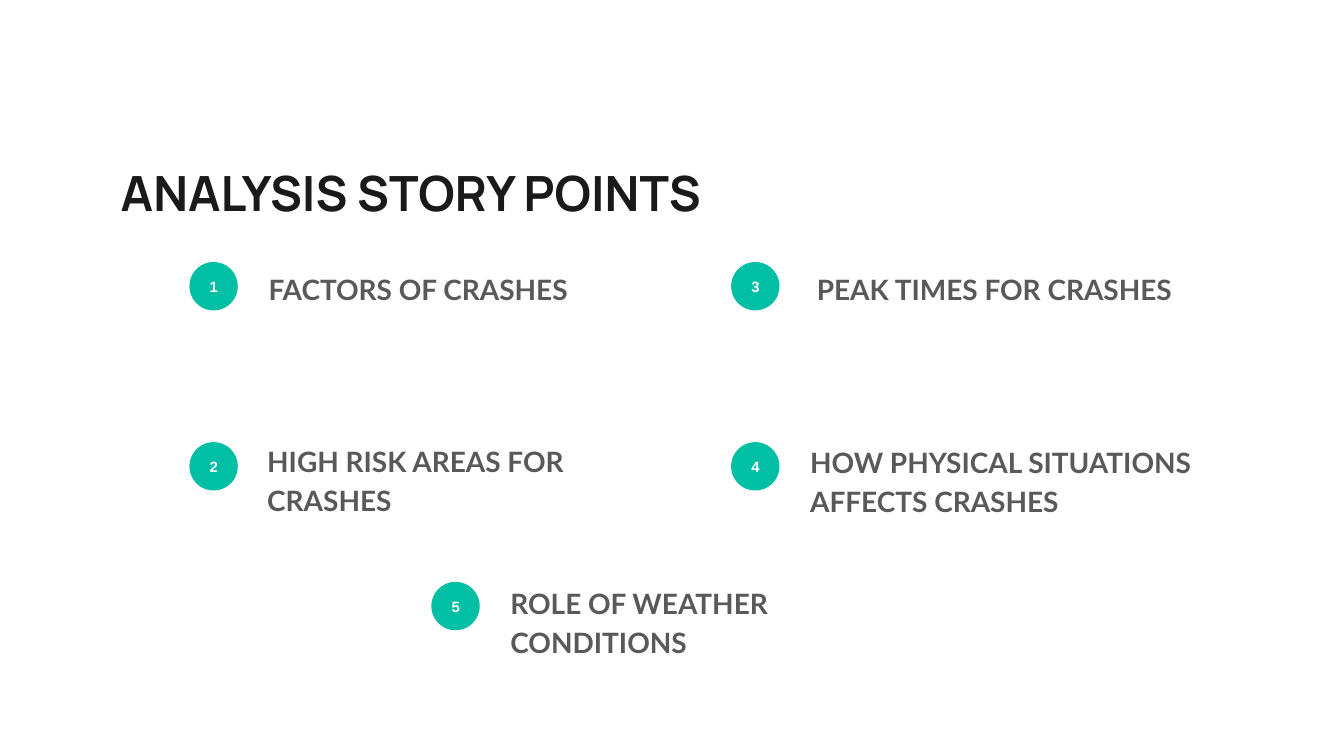
from pptx import Presentation
from pptx.dml.color import RGBColor
from pptx.enum.shapes import MSO_SHAPE as Shape
from pptx.enum.text import MSO_ANCHOR as Anchor, PP_ALIGN as Align
from pptx.util import Inches, Pt

WHITE = RGBColor(0xFF, 0xFF, 0xFF)
TEAL = RGBColor(0x00, 0xBF, 0xA5)
BLACK = RGBColor(0x1A, 0x1A, 0x1A)
GRAY = RGBColor(0x59, 0x59, 0x59)

LEFT, RIGHT, MIDDLE = 1.41, 5.44, 3.21
TOP, CENTER, BOTTOM = 1.95, 3.29, 4.33
BADGE = 0.36


def write(shape, text, font, size, color):
    frame = shape.text_frame
    frame.word_wrap = True
    frame.margin_left = frame.margin_right = Inches(0.1)
    frame.margin_top = frame.margin_bottom = Inches(0.1)
    frame.text = text
    para = frame.paragraphs[0]
    span = para.runs[0]
    span.font.name = font
    span.font.size = Pt(size)
    span.font.bold = True
    span.font.color.rgb = color
    return para


deck = Presentation()
deck.slide_width = Inches(10)
deck.slide_height = Inches(10) * 9 // 16
page = deck.slides.add_slide(deck.slide_layouts[6])
page.background.fill.solid()
page.background.fill.fore_color.rgb = WHITE

title = page.shapes.add_textbox(Inches(0.8), Inches(1.11), Inches(8.41), Inches(0.59))
write(title, "ANALYSIS STORY POINTS", "Manrope", 26, BLACK)

points = [
    ("FACTORS OF CRASHES", LEFT, TOP, 1.9, 1.89, 0.42),
    ("HIGH RISK AREAS FOR CRASHES", LEFT, CENTER, 1.89, 3.17, 0.42),
    ("PEAK TIMES FOR CRASHES", RIGHT, TOP, 5.98, 1.89, 0.42),
    ("HOW PHYSICAL SITUATIONS AFFECTS CRASHES", RIGHT, CENTER, 5.93, 3.18, 1.15),
    ("ROLE OF WEATHER CONDITIONS", MIDDLE, BOTTOM, 3.7, 4.23, 1.15),
]

for number, (label, badge_x, badge_y, x, y, height) in enumerate(points, start=1):
    badge = page.shapes.add_shape(
        Shape.OVAL, Inches(badge_x), Inches(badge_y), Inches(BADGE), Inches(BADGE)
    )
    badge.shadow.inherit = False
    badge.fill.solid()
    badge.fill.fore_color.rgb = TEAL
    badge.line.fill.background()
    badge.text_frame.vertical_anchor = Anchor.MIDDLE
    para = write(badge, str(number), "Arial", 8, WHITE)
    para.alignment = Align.CENTER

    box = page.shapes.add_textbox(Inches(x), Inches(y), Inches(3.1), Inches(height))
    para = write(box, label, "Lato", 15, GRAY)
    para.line_spacing = 1.15
    para.space_after = Pt(16)

deck.save("out.pptx")
